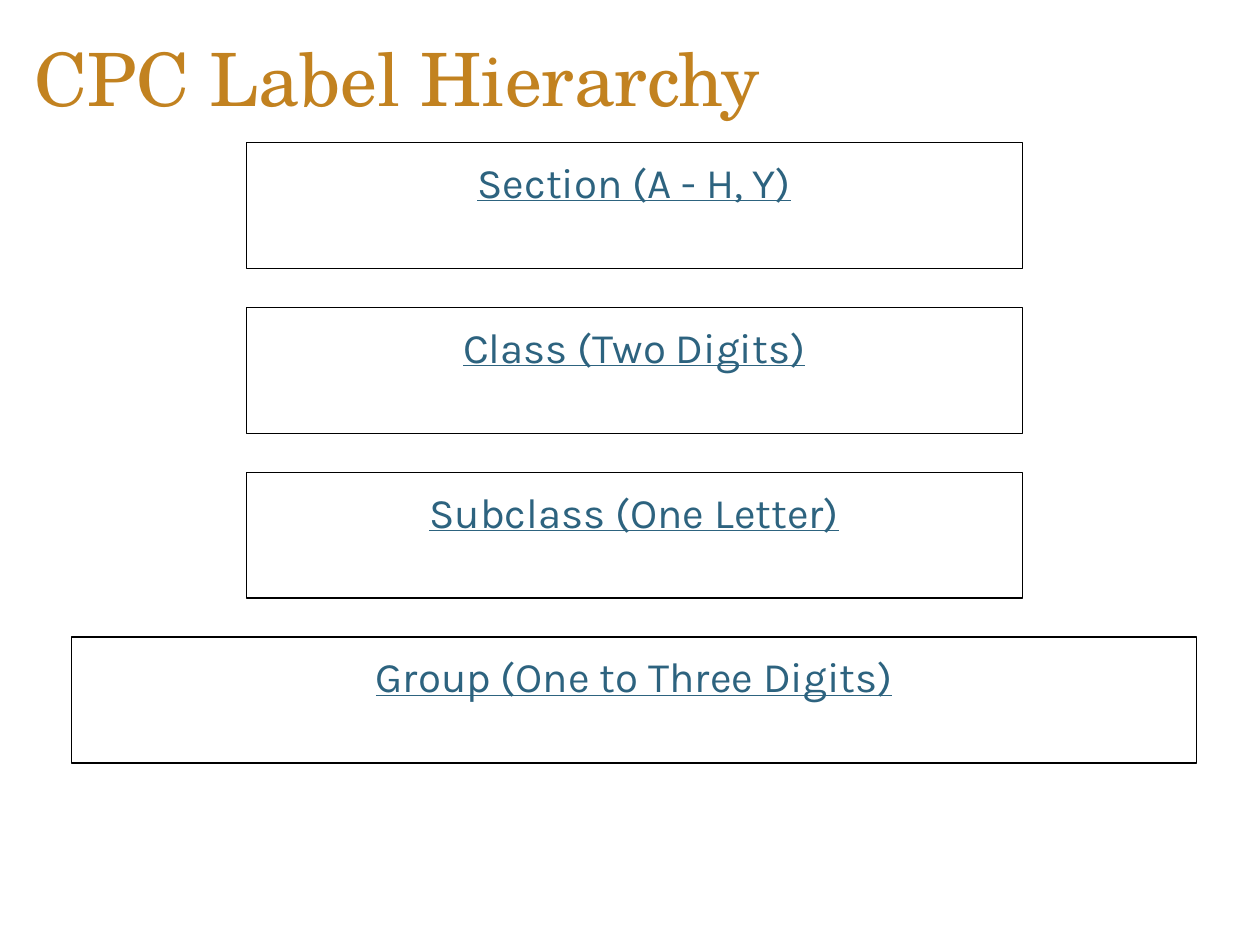
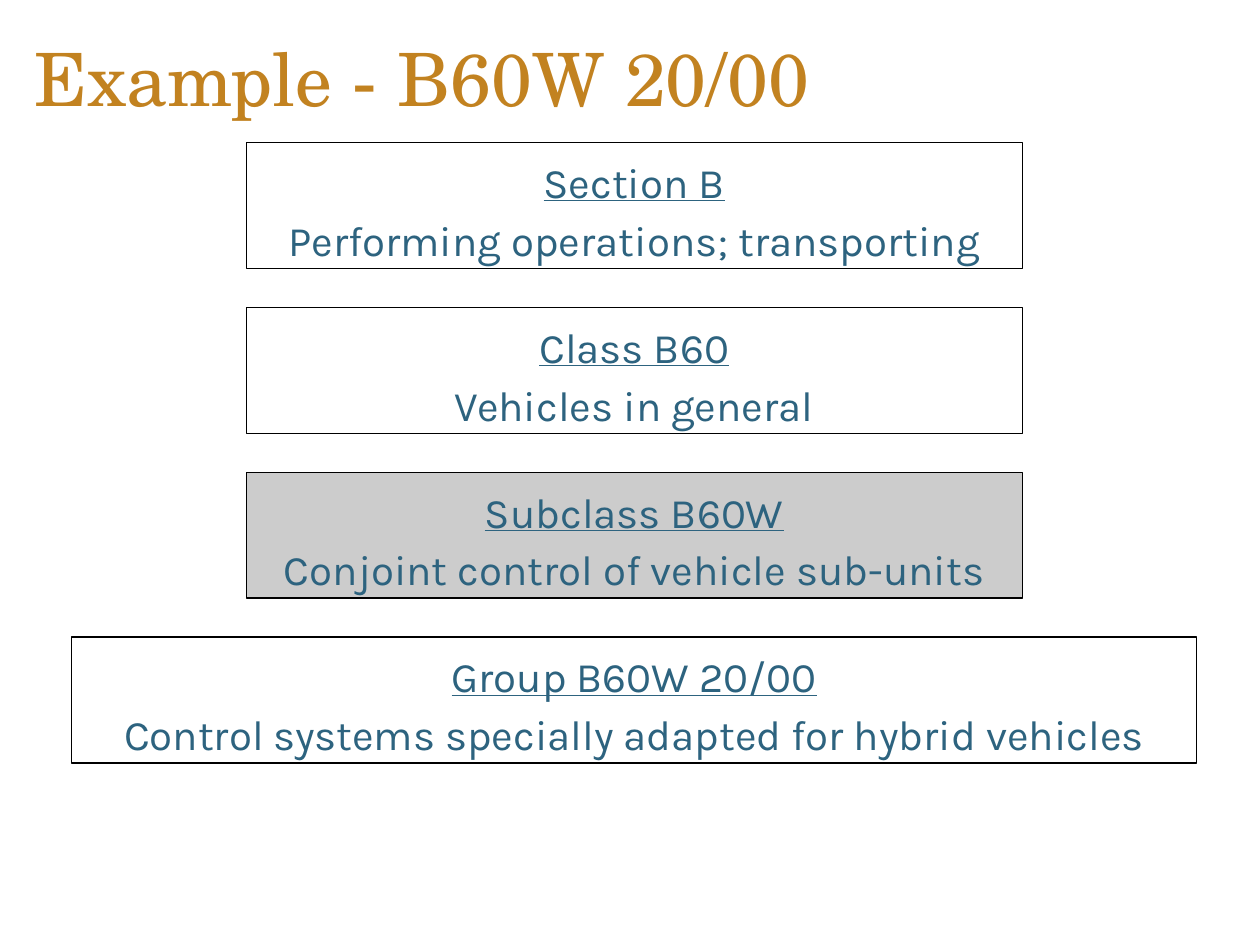
"""Build two slides on the CPC label hierarchy, each a stack of four boxes."""
from dataclasses import dataclass

from pptx import Presentation
from pptx.dml.color import RGBColor
from pptx.enum.text import MSO_ANCHOR as Anchor, MSO_AUTO_SIZE as AutoSize, PP_ALIGN as Align
from pptx.oxml.xmlchemy import OxmlElement
from pptx.util import Pt

SLIDES = [
    ("CPC Label Hierarchy", [
        ["Section (A - H, Y)"],
        ["Class (Two Digits)"],
        ["Subclass (One Letter)"],
        ["Group (One to Three Digits)"],
    ], None),
    ("Example - B60W 20/00", [
        ["Section B", "Performing operations; transporting"],
        ["Class B60", "Vehicles in general"],
        ["Subclass B60W", "Conjoint control of vehicle sub-units"],
        ["Group B60W 20/00", "Control systems specially adapted for hybrid vehicles"],
    ], "Subclass B60W"),
]


@dataclass(frozen=True)
class Theme:
    gold: RGBColor = RGBColor(0xC2, 0x82, 0x20)
    teal: RGBColor = RGBColor(0x2D, 0x63, 0x7F)
    black: RGBColor = RGBColor(0, 0, 0)
    highlight: RGBColor = RGBColor(0xCC, 0xCC, 0xCC)
    title_font: str = "TeX Gyre Schola"
    body_font: str = "Karla"
    title_size: int = 42
    body_size: int = 24


THEME = Theme()
SLIDE_SIZE = (720, 540)
TITLE_BOX = (12.24, 13.68, 611.28, 61.2)
LEVEL_WIDTHS = (443.5, 443.5, 443.5, 643)
LEVEL_CENTER, LEVEL_TOP, LEVEL_HEIGHT, LEVEL_PITCH = 362.4, 81.4, 72, 94.2
FOUR_BODY_LAYOUT = 4


def place(shape, left, top, width, height):
    shape.left, shape.top = Pt(left), Pt(top)
    shape.width, shape.height = Pt(width), Pt(height)


def prepare_frame(shape, anchor):
    frame = shape.text_frame
    frame.auto_size = AutoSize.NONE
    frame.word_wrap = True
    frame.vertical_anchor = anchor
    return frame


def add_run(paragraph, text, font_name, size, color, underline=False):
    run = paragraph.add_run()
    run.text = text
    font = run.font
    font.name, font.size, font.bold = font_name, Pt(size), False
    font.underline = underline
    font.color.rgb = color


def remove_bullet(paragraph):
    properties = paragraph._p.get_or_add_pPr()
    properties.set("marL", "0")
    properties.set("indent", "0")
    properties.append(OxmlElement("a:buNone"))


def write_title(shape, text):
    place(shape, *TITLE_BOX)
    paragraph = prepare_frame(shape, Anchor.MIDDLE).paragraphs[0]
    paragraph.alignment = Align.LEFT
    add_run(paragraph, text, THEME.title_font, THEME.title_size, THEME.gold)


def write_level(shape, position, lines, highlighted):
    width = LEVEL_WIDTHS[position]
    place(shape, LEVEL_CENTER - width / 2, LEVEL_TOP + position * LEVEL_PITCH, width, LEVEL_HEIGHT)
    shape.line.color.rgb = THEME.black
    shape.line.width = Pt(0.75)
    if highlighted:
        shape.fill.solid()
        shape.fill.fore_color.rgb = THEME.highlight
    frame = prepare_frame(shape, Anchor.TOP)
    for number, line in enumerate(lines):
        paragraph = frame.add_paragraph() if number else frame.paragraphs[0]
        paragraph.alignment = Align.CENTER
        paragraph.line_spacing = 1.15
        paragraph.space_before = paragraph.space_after = Pt(0)
        remove_bullet(paragraph)
        add_run(paragraph, line, THEME.body_font, THEME.body_size, THEME.teal, underline=number == 0)


def main():
    presentation = Presentation()
    presentation.slide_width, presentation.slide_height = map(Pt, SLIDE_SIZE)
    layout = presentation.slide_layouts[FOUR_BODY_LAYOUT]
    for title, levels, highlight in SLIDES:
        slide = presentation.slides.add_slide(layout)
        write_title(slide.shapes.title, title)
        for position, lines in enumerate(levels):
            write_level(slide.placeholders[position + 1], position, lines, lines[0] == highlight)
    presentation.save("out.pptx")


if __name__ == "__main__":
    main()
